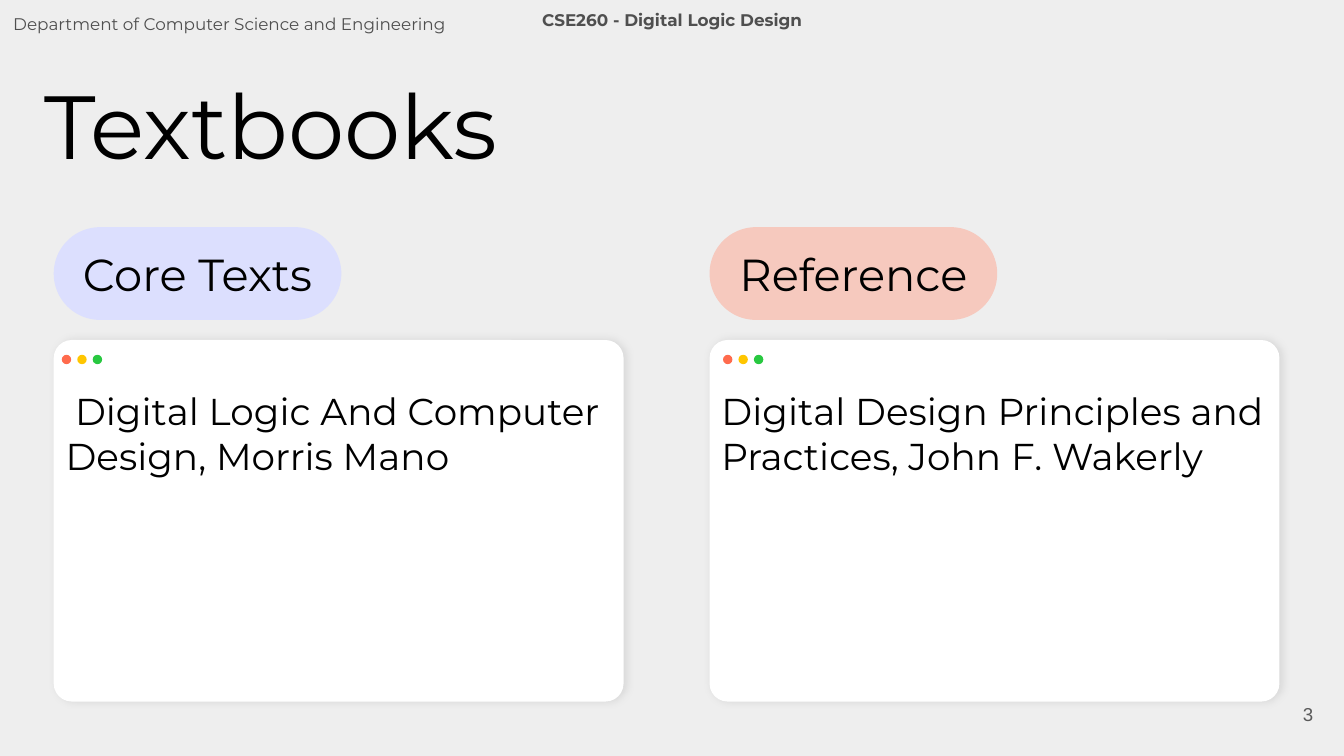
from dataclasses import dataclass

from lxml.etree import SubElement
from pptx import Presentation
from pptx.dml.color import RGBColor
from pptx.enum.shapes import MSO_SHAPE
from pptx.enum.text import MSO_ANCHOR, PP_ALIGN
from pptx.oxml.ns import qn
from pptx.util import Inches, Pt


@dataclass(frozen=True)
class Theme:
    background: str = "EEEEEE"
    card: str = "FFFFFF"
    ink: str = "000000"
    header: str = "4F4F4F"
    number: str = "595959"
    core: str = "DCDFFE"
    reference: str = "F6C9BE"
    dots: tuple = ("FF6B4D", "FFC600", "28C840")
    font: str = "Montserrat"
    number_font: str = "Arial"
    title_size: int = 48
    label_size: int = 24
    body_size: int = 20
    number_size: int = 10
    header_size: int = 9


theme = Theme()


def write(box, text, size, color=theme.ink, font=theme.font, bold=False,
          align=PP_ALIGN.LEFT, anchor=MSO_ANCHOR.TOP):
    """Fill the box with one formatted run and return its paragraph."""
    frame = box.text_frame
    frame.word_wrap = True
    frame.vertical_anchor = anchor
    frame.margin_left = frame.margin_right = Inches(0.1)
    frame.margin_top = frame.margin_bottom = Inches(0.1)
    para = frame.paragraphs[0]
    para.alignment = align
    span = para.add_run()
    span.text = text
    span.font.name = font
    span.font.size = Pt(size)
    span.font.bold = bold
    span.font.color.rgb = RGBColor.from_string(color)
    return para


def add_filled(shapes, kind, left, top, width, height, color):
    shape = shapes.add_shape(kind, Inches(left), Inches(top), Inches(width), Inches(height))
    shape.shadow.inherit = False
    shape.fill.solid()
    shape.fill.fore_color.rgb = RGBColor.from_string(color)
    shape.line.fill.background()
    return shape


deck = Presentation()
deck.slide_width = Inches(10)
deck.slide_height = Inches(10) * 9 // 16
page = deck.slides.add_slide(deck.slide_layouts[5])
page.background.fill.solid()
page.background.fill.fore_color.rgb = RGBColor.from_string(theme.background)

# Title
title = page.shapes.title
title.left, title.top = Inches(0.23), Inches(0.51)
title.width, title.height = Inches(8.03), Inches(0.93)
write(title, "Textbooks", theme.title_size).line_spacing = 0.9

# Header and page number
number = page.shapes.add_textbox(Inches(9.27), Inches(5.1), Inches(0.6), Inches(0.43))
write(number, "3", theme.number_size, theme.number, theme.number_font,
      align=PP_ALIGN.RIGHT, anchor=MSO_ANCHOR.MIDDLE)
department = page.shapes.add_textbox(0, Inches(0.03), Inches(5.54), Inches(0.37))
write(department, "Department of Computer Science and Engineering",
      theme.header_size, theme.header)
course = page.shapes.add_textbox(Inches(3.22), 0, Inches(3.56), Inches(0.35))
write(course, "CSE260 - Digital Logic Design", theme.header_size, theme.header,
      bold=True, align=PP_ALIGN.CENTER)

# Columns: left edge, first dot, label, label colour, book, first-line indent, text height
columns = (
    (0.4, 0.46, "Core Texts", theme.core,
     "Digital Logic And Computer Design, Morris Mano", 0.07, 1.21),
    (5.28, 5.38, "Reference", theme.reference,
     "Digital Design Principles and Practices, John F. Wakerly", 0, 0.88),
)
for left, dot_left, label, label_color, book, indent, text_height in columns:
    card = add_filled(page.shapes, MSO_SHAPE.ROUNDED_RECTANGLE,
                      left, 2.53, 4.24, 2.69, theme.card)
    card.adjustments[0] = 0.05
    effects = card._element.spPr.find(qn("a:effectLst"))
    shadow = SubElement(effects, qn("a:outerShdw"), blurRad=str(Pt(4.5)),
                        dist=str(Pt(1.5)), dir="0", algn="ctr", rotWithShape="0")
    shade = SubElement(shadow, qn("a:srgbClr"), val=theme.ink)
    SubElement(shade, qn("a:alpha"), val="10000")

    dots = page.shapes.add_group_shape()
    for index, color in enumerate(theme.dots):
        add_filled(dots.shapes, MSO_SHAPE.OVAL,
                   dot_left + index * 0.115, 2.64, 0.07, 0.07, color)

    body = page.shapes.add_textbox(Inches(left - 0.01), Inches(2.79),
                                   Inches(4.26), Inches(text_height))
    para = write(body, book, theme.body_size)
    if indent:
        para._p.get_or_add_pPr().set("indent", str(Inches(indent)))

    pill = add_filled(page.shapes, MSO_SHAPE.ROUNDED_RECTANGLE,
                      left, 1.69, 2.14, 0.69, label_color)
    pill.adjustments[0] = 0.5
    write(pill, label, theme.label_size, align=PP_ALIGN.CENTER, anchor=MSO_ANCHOR.MIDDLE)

deck.save("out.pptx")
